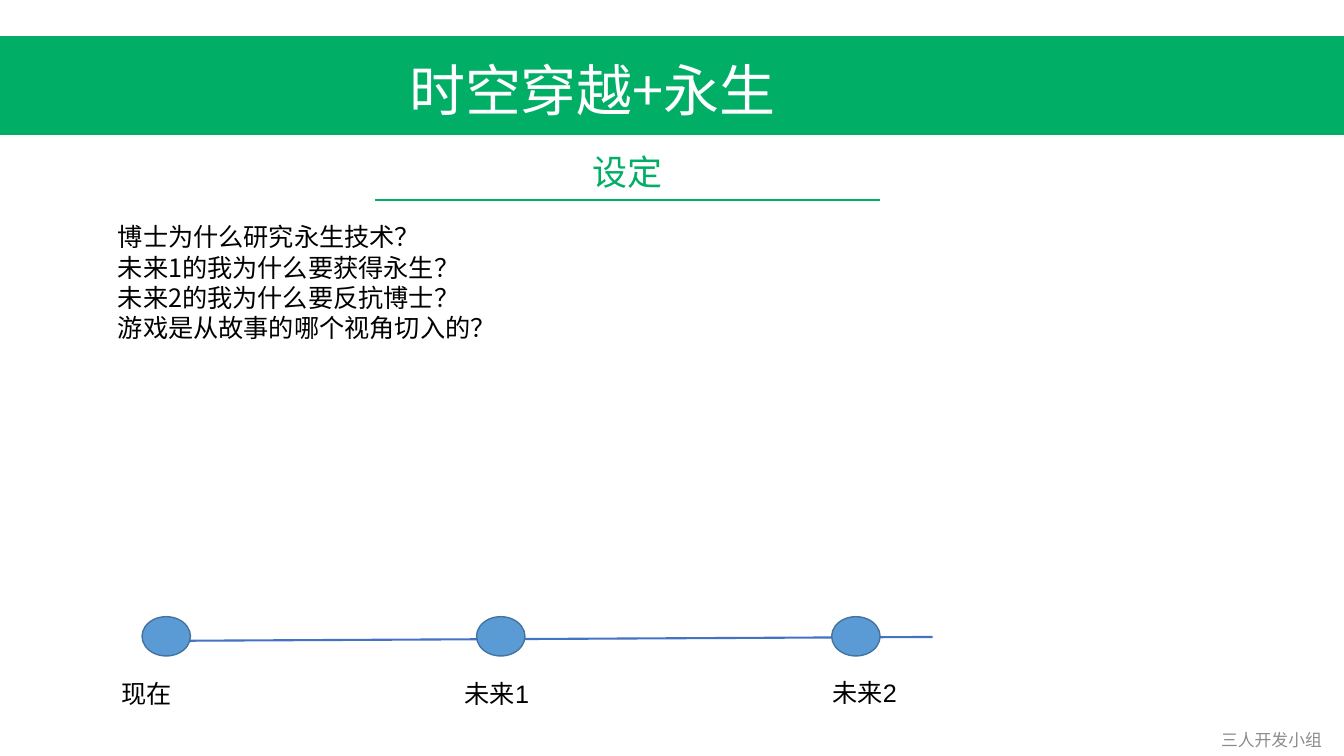
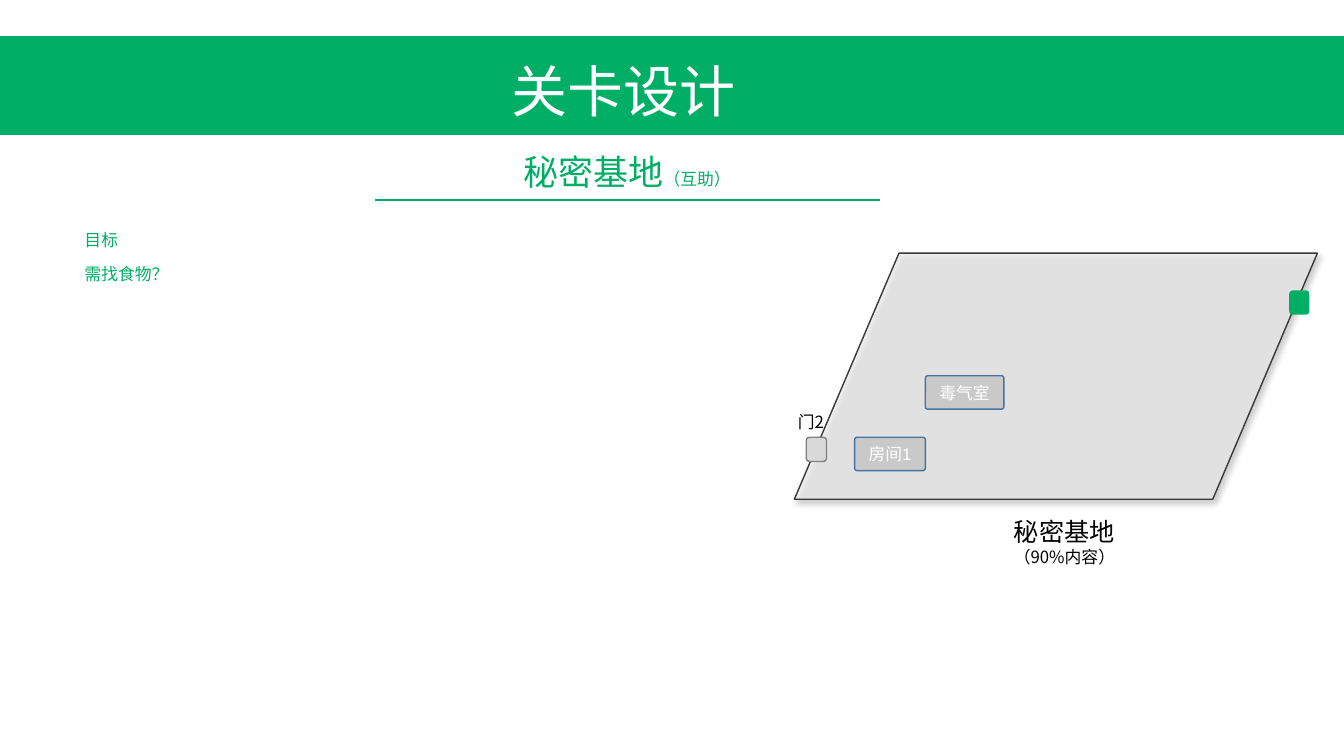
from dataclasses import dataclass
from typing import Optional

from lxml import etree
from pptx import Presentation
from pptx import util as u
from pptx.dml.color import RGBColor
from pptx.enum import shapes, text
from pptx.oxml import ns

Cm, Pt = u.Cm, u.Pt
SHAPE, ALIGN, ANCHOR = shapes.MSO_SHAPE, text.PP_ALIGN, text.MSO_ANCHOR
COLORS = {
    "green": "00AE66", "white": "FFFFFF", "black": "000000", "footer": "8C8C8C",
    "timeline": "4472C4", "node": "5B9BD5", "node_edge": "43739E",
    "floor": "EDEDED", "floor_edge": "3B3838", "room": "C9C9C9",
    "door": "D9D9D9", "door_edge": "808080",
}
SANS, ARIAL = "Noto Sans CJK SC", "Arial"
WIDTH, HEIGHT = 33.87, 19.05


@dataclass
class Box:
    """Position and size in centimetres."""
    x: float
    y: float
    w: float
    h: float

    def lengths(self):
        return Cm(self.x), Cm(self.y), Cm(self.w), Cm(self.h)


@dataclass
class Run:
    text: str
    size: float
    color: str = "black"
    font: str = SANS


@dataclass
class Node:
    label: str
    x: float
    label_box: Box


@dataclass
class Room:
    label: str
    box: Box


@dataclass
class Door:
    x: float
    y: float
    fill: str
    edge: Optional[str] = None


def rgb(name: str) -> RGBColor:
    return RGBColor.from_string(COLORS[name])


def sub(parent, tag: str, **attrs):
    return etree.SubElement(parent, ns.qn(tag), attrs)


def write(tf, lines: list[list[Run]], align=None, anchor=ANCHOR.TOP, spacing=None) -> None:
    for key, value in {"word_wrap": True, "vertical_anchor": anchor}.items():
        setattr(tf, key, value)
    for i, runs in enumerate(lines):
        p = tf.paragraphs[0] if i == 0 else tf.add_paragraph()
        for key, value in {"alignment": align, "line_spacing": spacing}.items():
            setattr(p, key, value)
        for item in runs:
            r = p.add_run()
            r.text = item.text
            for key, value in {"size": Pt(item.size), "name": item.font}.items():
                setattr(r.font, key, value)
            r.font.color.rgb = rgb(item.color)
            sub(r.font._element, "a:ea", typeface=SANS)


def add_text(s, box: Box, lines: list[list[Run]], **fmt) -> None:
    write(s.shapes.add_textbox(*box.lengths()).text_frame, lines, **fmt)


def add_shape(s, kind, box: Box, fill: str, edge: Optional[str] = None):
    sp = s.shapes.add_shape(kind, *box.lengths())
    sp.shadow.inherit = False
    sp.fill.solid()
    sp.fill.fore_color.rgb = rgb(fill)
    if edge:
        sp.line.color.rgb = rgb(edge)
        sp.line.width = Pt(1)
    else:
        sp.line.fill.background()
    return sp


def add_line(s, x1: float, y1: float, x2: float, y2: float, color: str) -> None:
    line = s.shapes.add_connector(shapes.MSO_CONNECTOR.STRAIGHT, Cm(x1), Cm(y1), Cm(x2), Cm(y2))
    line.line.color.rgb = rgb(color)
    line.line.width = Pt(1.5)
    sub(line._element.spPr, "a:effectLst")


def add_slide(prs, title: str, title_box: Box, subtitle: list[Run]):
    """Blank slide with the green band, title and underlined subtitle."""
    s = prs.slides.add_slide(prs.slide_layouts[6])
    add_shape(s, SHAPE.RECTANGLE, Box(0, 0.91, WIDTH, 2.49), "green")
    add_text(s, title_box, [[Run(title, 40, "white")]])
    add_line(s, 9.45, 5.03, 22.17, 5.03, "green")
    add_text(s, Box(9.45, 3.68, 12.72, 1.32), [subtitle], align=ALIGN.CENTER)
    return s


def add_node(s, node: Node) -> None:
    add_shape(s, SHAPE.OVAL, Box(node.x, 15.54, 1.22, 0.99), "node", "node_edge")
    add_text(s, node.label_box, [[Run(node.label, 18, font=ARIAL)]])


def add_door(s, door: Door) -> None:
    add_shape(s, SHAPE.ROUNDED_RECTANGLE, Box(door.x, door.y, 0.51, 0.61), door.fill, door.edge)


def add_room(s, room: Room) -> None:
    sp = add_shape(s, SHAPE.ROUNDED_RECTANGLE, room.box, "room", "node_edge")
    sp.adjustments[0] = 0.07
    write(sp.text_frame, [[Run(room.label, 12, "white", ARIAL)]],
          align=ALIGN.CENTER, anchor=ANCHOR.MIDDLE)


def add_floor(s, box: Box) -> None:
    """Translucent floor plan with a soft shadow."""
    sp = add_shape(s, SHAPE.FLOWCHART_DATA, box, "floor", "floor_edge")
    props = sp._element.spPr
    sub(props.find(ns.qn("a:solidFill")).find(ns.qn("a:srgbClr")), "a:alpha", val="64000")
    shadow = sub(props.find(ns.qn("a:effectLst")), "a:outerShdw", blurRad=str(Pt(4.5)),
                 dist=str(Pt(2.6)), dir=str(53 * 60000), algn="tl", rotWithShape="0")
    sub(sub(shadow, "a:srgbClr", val=COLORS["black"]), "a:alpha", val="30000")


def story_slide(prs) -> None:
    s = add_slide(prs, "时空穿越+永生", Box(10.06, 1.27, 12.85, 1.96), [Run("设定", 25, "green")])
    questions = ["博士为什么研究永生技术？", "未来1的我为什么要获得永生？",
                 "未来2的我为什么要反抗博士？", "游戏是从故事的哪个视角切入的？"]
    add_text(s, Box(2.72, 5.46, 20.19, 3.33), [[Run(q, 18)] for q in questions])
    add_text(s, Box(30.23, 18.31, 3.63, 0.69), [[Run("三人开发小组", 12, "footer", ARIAL)]],
             align=ALIGN.CENTER, anchor=ANCHOR.MIDDLE)
    # Timeline
    add_line(s, 4.06, 16.15, 23.5, 16.05, "timeline")
    for node in (Node("现在", 3.58, Box(2.82, 16.97, 2.72, 1.02)),
                 Node("未来1", 12.01, Box(11.46, 16.97, 2.72, 1.02)),
                 Node("未来2", 20.96, Box(20.73, 16.94, 2.18, 1.02))):
        add_node(s, node)


def level_slide(prs) -> None:
    s = add_slide(prs, "关卡设计", Box(12.65, 1.3, 6.32, 1.96),
                  [Run("秘密基地", 25, "green"), Run("（互助）", 12, "green")])
    # Floor plan with doors and rooms
    add_floor(s, Box(20.02, 6.38, 13.18, 6.2))
    for door in (Door(20.32, 11.02, "door", "door_edge"), Door(32.49, 7.32, "green")):
        add_door(s, door)
    add_text(s, Box(25.3, 12.88, 3.1, 1.55), [[Run("秘密基地", 18)], [Run("（90%内容）", 12)]])
    add_text(s, Box(19.86, 10.26, 2.06, 0.76), [[Run("门2", 12)]])
    for room in (Room("房间1", Box(21.54, 11.02, 1.78, 0.84)),
                 Room("毒气室", Box(23.32, 9.47, 1.98, 0.84))):
        add_room(s, room)
    # Goal
    add_text(s, Box(1.88, 5.33, 19.66, 1.96),
             [[Run(line, 12, "green")] for line in ("目标", "需找食物？")], spacing=Pt(24))


def main() -> None:
    prs = Presentation()
    prs.slide_width, prs.slide_height = Cm(WIDTH), Cm(HEIGHT)
    story_slide(prs)
    level_slide(prs)
    prs.save("out.pptx")


if __name__ == "__main__":
    main()
